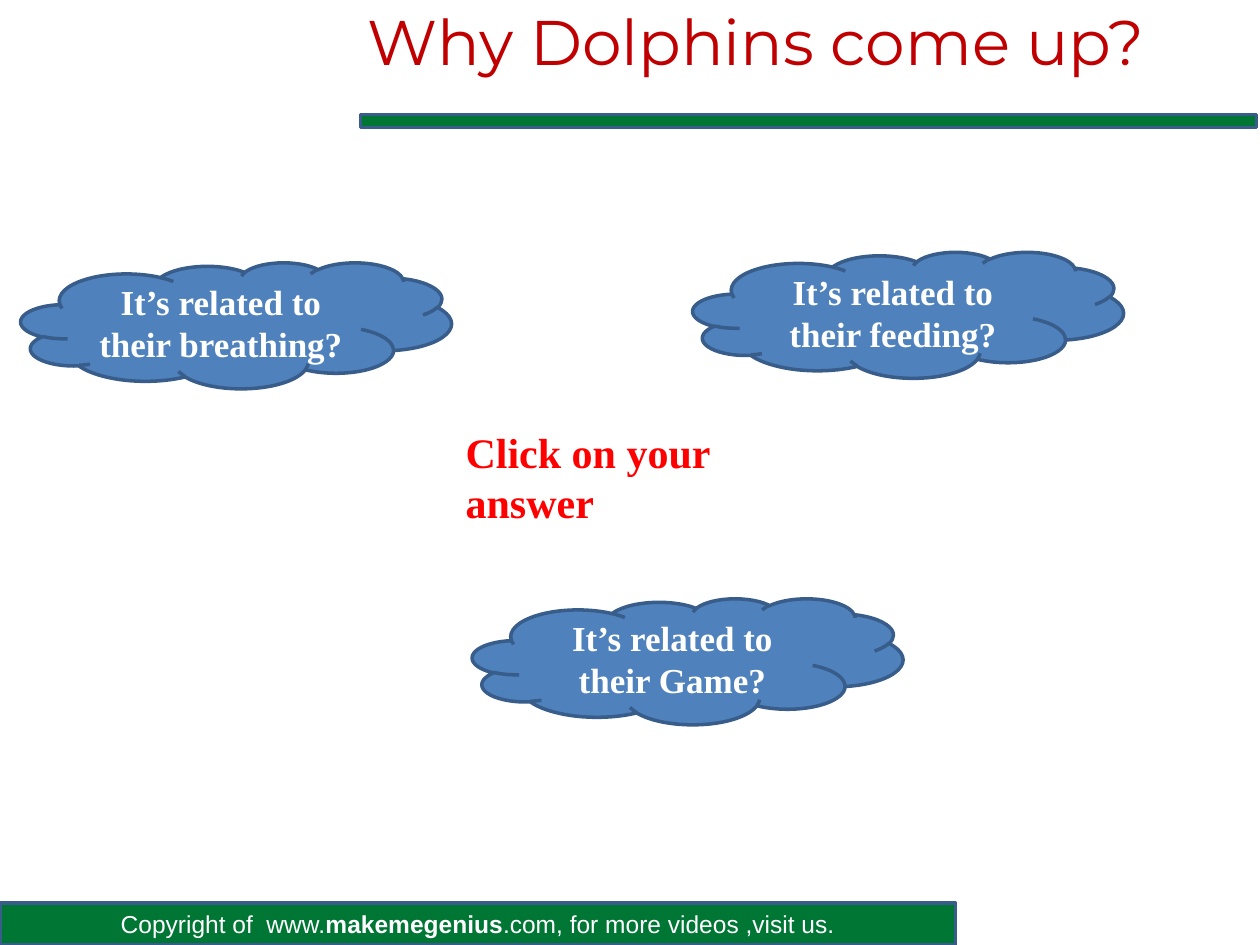
from pptx import Presentation
from pptx.dml.color import RGBColor
from pptx.enum.shapes import MSO_SHAPE
from pptx.enum.text import MSO_ANCHOR, MSO_AUTO_SIZE, PP_ALIGN
from pptx.util import Pt

GREEN, BLUE, OUTLINE = "007635", "4F81BD", "385D8A"
WHITE, RED, DARK_RED = "FFFFFF", "FF0000", "C00000"
SERIF = "Times New Roman"


def color(hex_string):
    return RGBColor.from_string(hex_string)


def add_shape(slide, preset, box, fill):
    shape = slide.shapes.add_shape(preset, *map(Pt, box))
    shape.shadow.inherit = False
    shape.fill.solid()
    shape.fill.fore_color.rgb = color(fill)
    shape.line.color.rgb = color(OUTLINE)
    shape.line.width = Pt(2)
    return shape


def write(shape, runs, font, size, hex_string,
          align=PP_ALIGN.CENTER, anchor=MSO_ANCHOR.MIDDLE, wrap=True):
    """Fill the shape with one paragraph of (text, bold) runs."""
    frame = shape.text_frame
    frame.word_wrap = wrap
    frame.vertical_anchor = anchor
    paragraph = frame.paragraphs[0]
    paragraph.alignment = align
    for text, bold in runs:
        run = paragraph.add_run()
        run.text = text
        run.font.name = font
        run.font.size = Pt(size)
        run.font.bold = bold
        run.font.color.rgb = color(hex_string)


def add_cloud(slide, left, top, text):
    cloud = add_shape(slide, MSO_SHAPE.CLOUD, (left, top, 246, 72), BLUE)
    write(cloud, [(text, True)], SERIF, 20, WHITE)


def add_text(slide, box, text, font, size, hex_string, bold=False, **options):
    text_box = slide.shapes.add_textbox(*map(Pt, box))
    write(text_box, [(text, bold)], font, size, hex_string, **options)
    return text_box


def main():
    presentation = Presentation()
    presentation.slide_width, presentation.slide_height = Pt(720), Pt(540)
    slide = presentation.slides.add_slide(presentation.slide_layouts[6])

    # Footer band and rule under the title
    footer = add_shape(slide, MSO_SHAPE.RECTANGLE, (0, 516, 546, 24), GREEN)
    write(footer, [("Copyright of  www.", False), ("makemegenius", True),
                   (".com, for more videos ,visit us.", False)], "Arial", 14, WHITE)
    add_shape(slide, MSO_SHAPE.RECTANGLE, (206, 65.5, 512, 7.5), GREEN)

    # Title
    title = add_text(slide, (108, 0, 648, 46), "Why Dolphins come up?",
                     "Montserrat", 36, DARK_RED)
    title.text_frame.margin_top = title.text_frame.margin_bottom = 0

    # Answer clouds
    for left, top, topic in ((12, 150, "breathing"), (396, 144, "feeding"),
                             (270, 342, "Game")):
        add_cloud(slide, left, top, f"It’s related to their {topic}?")

    # Instruction
    prompt = add_text(slide, (259, 240, 233, 36), "Click on your answer", SERIF, 24, RED,
                      bold=True, align=PP_ALIGN.LEFT, anchor=MSO_ANCHOR.TOP, wrap=False)
    prompt.text_frame.auto_size = MSO_AUTO_SIZE.SHAPE_TO_FIT_TEXT

    presentation.save("out.pptx")


if __name__ == "__main__":
    main()
